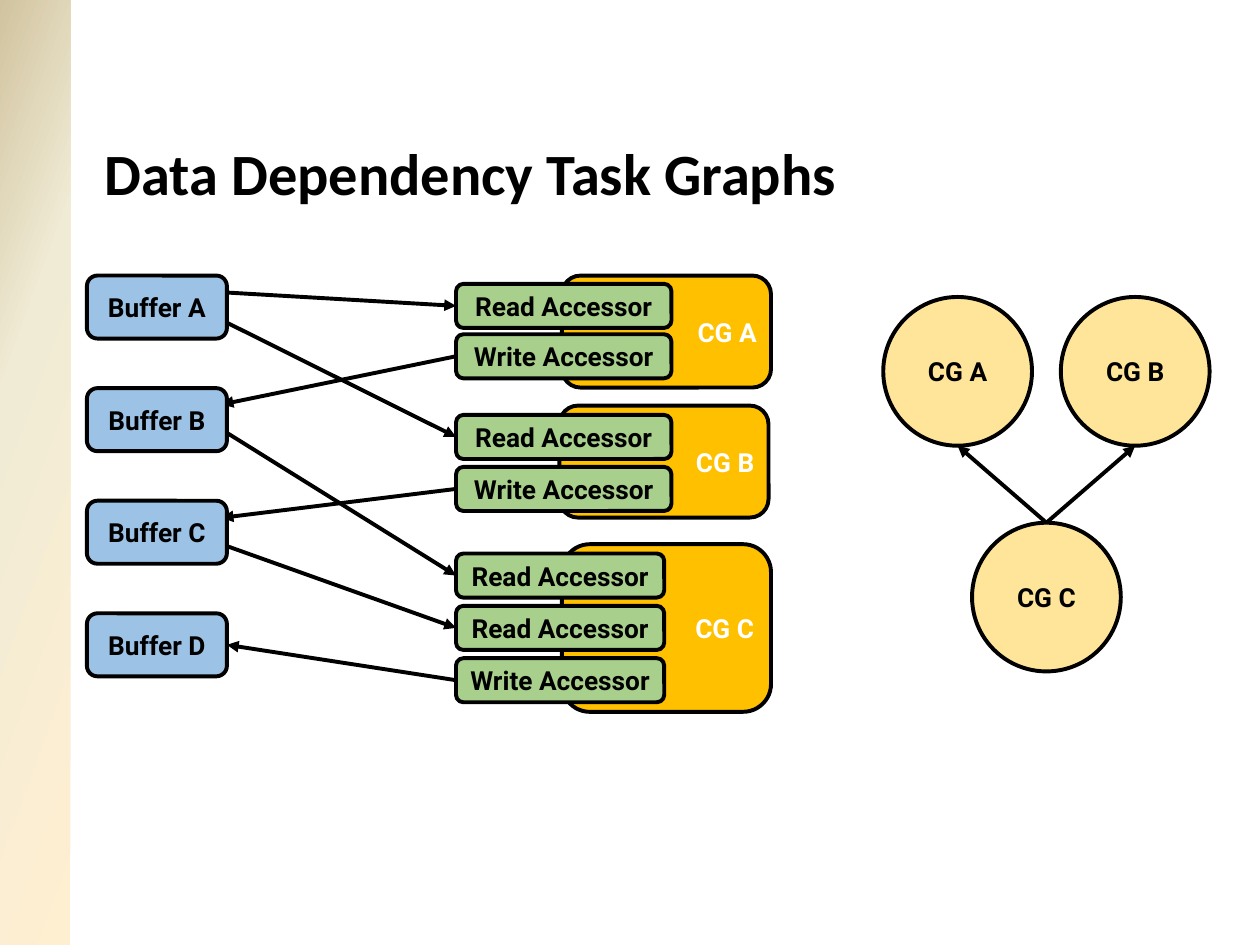
from copy import deepcopy

from pptx import Presentation
from pptx.dml.color import RGBColor
from pptx.enum.shapes import MSO_CONNECTOR, MSO_SHAPE
from pptx.enum.text import MSO_ANCHOR, MSO_AUTO_SIZE, PP_ALIGN
from pptx.oxml.ns import qn
from pptx.util import Pt

RECT, ROUND, OVAL = MSO_SHAPE.RECTANGLE, MSO_SHAPE.ROUNDED_RECTANGLE, MSO_SHAPE.OVAL
LINE = MSO_CONNECTOR.STRAIGHT
MID = MSO_ANCHOR.MIDDLE
LEFT, CENTER, RIGHT = PP_ALIGN.LEFT, PP_ALIGN.CENTER, PP_ALIGN.RIGHT
FIXED = MSO_AUTO_SIZE.NONE
TOP_SIDE, LEFT_SIDE, RIGHT_SIDE = 0, 1, 3

COLORS = {
    "ink": "000000",
    "white": "FFFFFF",
    "buffer": "9CC2E5",
    "access": "A8D08C",
    "group": "FFC000",
    "node": "FEE599",
    "cream": "FFEFD1",
    "sand": "F0EBD5",
    "tan": "D1C39F",
}


def rgb(name):
    return RGBColor.from_string(COLORS[name])


def style(frame, text, font, size, color, align, pad_x, pad_y):
    frame.text = text
    frame.word_wrap = True
    frame.auto_size = FIXED
    frame.vertical_anchor = MID
    frame.margin_left = frame.margin_right = Pt(pad_x)
    frame.margin_top = frame.margin_bottom = Pt(pad_y)
    para = frame.paragraphs[0]
    para.alignment = align
    face = para.runs[0].font
    face.name, face.size, face.bold = font, Pt(size), True
    face.color.rgb = rgb(color)


def node(slide, kind, box, text, fill, color="ink", align=CENTER):
    shape = slide.shapes.add_shape(kind, *map(Pt, box))
    shape.shadow.inherit = False
    shape.fill.solid()
    shape.fill.fore_color.rgb = rgb(fill)
    shape.line.color.rgb = rgb("ink")
    shape.line.width = Pt(2.25)
    style(shape.text_frame, text, "Roboto", 15, color, align, 5, 3)
    return shape


def arrow(slide, start, end):
    link = slide.shapes.add_connector(LINE, *map(Pt, start + end))
    link.line.color.rgb = rgb("ink")
    link.line.width = Pt(2.25)
    props = link._element.spPr
    tip = props.find(qn("a:ln")).makeelement(qn("a:tailEnd"), {"type": "triangle"})
    props.find(qn("a:ln")).append(tip)
    props.append(props.makeelement(qn("a:effectLst"), {}))
    return link


def side_bar(slide, box):
    bar = slide.shapes.add_shape(RECT, *map(Pt, box))
    bar.shadow.inherit = False
    bar.line.fill.background()
    bar.fill.gradient()
    bar.fill.gradient_angle = 160
    last = bar._element.spPr.findall(".//" + qn("a:gs"))[-1]
    last.addnext(deepcopy(last))
    stops = [(0, "cream"), (0.65, "sand"), (1, "tan")]
    for stop, (place, name) in zip(bar.fill.gradient_stops, stops):
        stop.position = place
        stop.color.rgb = rgb(name)


def heading(slide, box, text):
    title = slide.shapes.title
    title.left, title.top, title.width, title.height = map(Pt, box)
    style(title.text_frame, text, "Calibri", 33.4, "ink", LEFT, 5, 15)
    title.text_frame.paragraphs[0].line_spacing = 0.9


def buffers(slide, box, names):
    left, top, wide, high = box
    tall = 36
    step = (high - tall) / (len(names) - 1)
    return {
        name: node(slide, ROUND, (left, top + i * step, wide, tall),
                   f"Buffer {name}", "buffer")
        for i, name in enumerate(names)
    }


def group(slide, box, name, modes, wide, lead, step):
    left, top, width, high = box
    body = 119.5
    node(slide, ROUND, (left + width - body, top, body, high),
         f"CG {name}", "group", "white", RIGHT)
    return [
        node(slide, ROUND, (left, top + lead + i * step, wide, 25.2),
             f"{mode} Accessor", "access")
        for i, mode in enumerate(modes)
    ]


def graph(slide, box):
    left, top, wide, high = box
    size = 85
    mid, low = left + wide / 2, top + high - size
    base = node(slide, OVAL, (mid - size / 2, low, size, size), "CG C", "node")
    for name, x in (("A", left), ("B", left + wide - size)):
        node(slide, OVAL, (x, top, size, size), f"CG {name}", "node")
        link = arrow(slide, (mid, low), (x + size / 2, top + size))
        link.begin_connect(base, TOP_SIDE)


def flows(slide, store, access):
    edge = 126.7
    reads = [("A", 0, 167), ("A", 2, 182.9), ("B", 4, 245.5), ("C", 5, 311)]
    for _, row, y in reads:
        arrow(slide, (edge, y), (edge, y)).end_connect(access[row], LEFT_SIDE)
    for row, y in ((1, 231.1), (3, 295.9)):
        arrow(slide, (edge, y), (edge, y)).begin_connect(access[row], LEFT_SIDE)
    last = arrow(slide, (edge, 0), (edge, 0))
    last.begin_connect(access[6], LEFT_SIDE)
    last.end_connect(store["D"], RIGHT_SIDE)
    for shape in store.values():
        slide.shapes._spTree.append(shape._element)


def main():
    deck = Presentation()
    deck.slide_width, deck.slide_height = Pt(720), Pt(540)
    slide = deck.slides.add_slide(deck.slide_layouts[5])
    side_bar(slide, (0, 0, 40.3, 540))
    heading(slide, (54.7, 79.9, 655.2, 41.8), "Data Dependency Task Graphs")
    store = buffers(slide, (49.7, 157.5, 80, 229), "ABCD")
    pair, trio = ("Read", "Write"), ("Read", "Read", "Write")
    access = [
        *group(slide, (260.6, 157.5, 180, 64), "A", pair, 123.1, 4.7, 28.8),
        *group(slide, (260.6, 231.8, 178.6, 64), "B", pair, 123.1, 5.3, 29.7),
        *group(slide, (260.6, 311, 180, 95.8), "C", trio, 119, 5.3, 29.9),
    ]
    flows(slide, store, access)
    graph(slide, (504.7, 169.7, 186.5, 214))
    deck.save("out.pptx")


if __name__ == "__main__":
    main()
